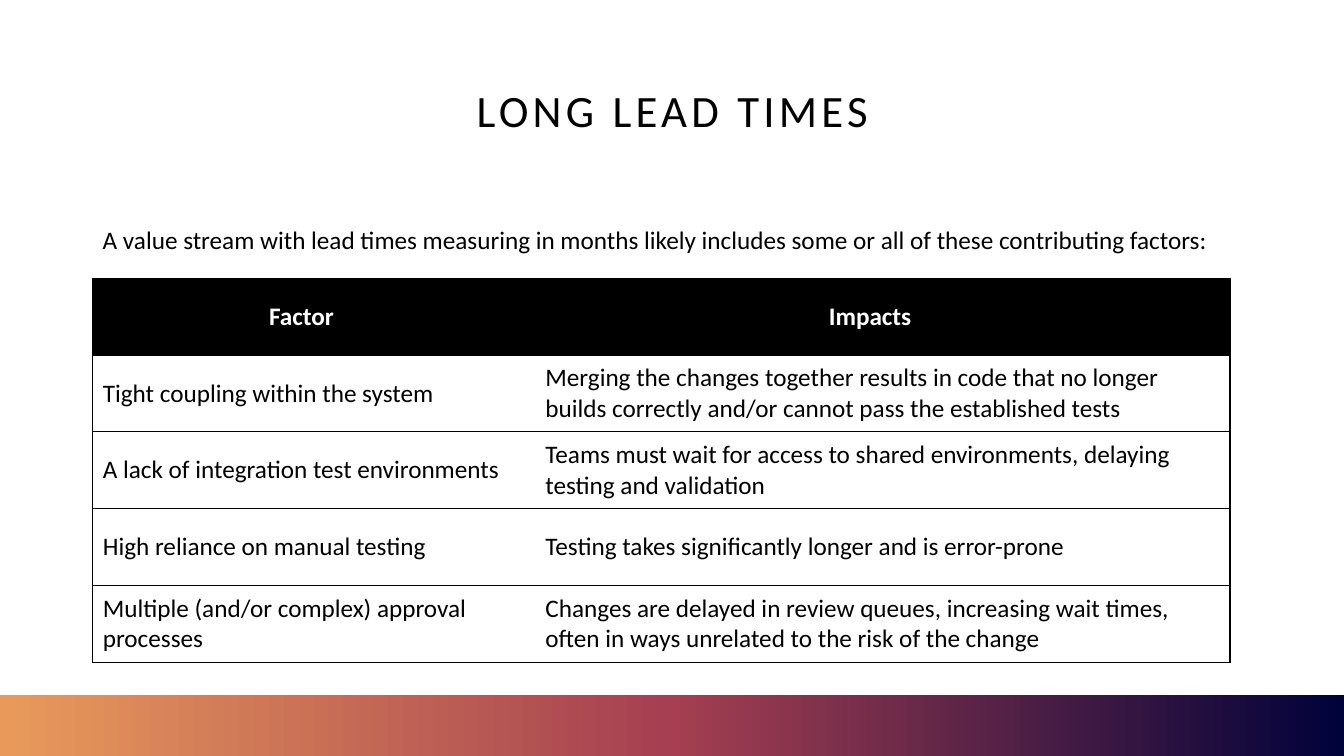
import copy

import pptx
import pptx.dml.color
import pptx.enum.shapes
import pptx.enum.text
import pptx.oxml
import pptx.oxml.ns
import pptx.util
from pptx.util import Inches

COLORS = {
    "black": "000000",
    "white": "FFFFFF",
    "orange": "E99A5B",
    "crimson": "A53F51",
    "navy": "00023A",
}
FONT = "Calibri"
HEADINGS = ("Factor", "Impacts")
FACTORS = [
    ("Tight coupling within the system",
     "Merging the changes together results in code that no longer builds "
     "correctly and/or cannot pass the established tests"),
    ("A lack of integration test environments",
     "Teams must wait for access to shared environments, delaying testing "
     "and validation"),
    ("High reliance on manual testing",
     "Testing takes significantly longer and is error-prone"),
    ("Multiple (and/or complex) approval processes",
     "Changes are delayed in review queues, increasing wait times, often in "
     "ways unrelated to the risk of the change"),
]
COLUMN_SHARES = (0.367, 0.633)
IMPACT_INDENT = 0.25


def rgb(name):
    return pptx.dml.color.RGBColor.from_string(COLORS[name])


def style_text(para, size, color="black", bold=False, centred=False):
    align = pptx.enum.text.PP_ALIGN
    para.alignment = align.CENTER if centred else align.LEFT
    for span in para.runs:
        span.font.name = FONT
        span.font.size = pptx.util.Pt(size)
        span.font.bold = bold
        span.font.color.rgb = rgb(color)


def add_text(page, box, text, size, centred=False):
    frame = page.shapes.add_textbox(*map(Inches, box)).text_frame
    frame.word_wrap = True
    if centred:
        frame.vertical_anchor = pptx.enum.text.MSO_ANCHOR.MIDDLE
    para = frame.paragraphs[0]
    para.text = text
    para.line_spacing = 0.9
    style_text(para, size, centred=centred)
    return para


def add_title(page, box):
    para = add_text(page, box, "LONG LEAD TIMES", 32, centred=True)
    para.runs[0].font._element.set("spc", "300")


def add_gradient_bar(page, box):
    bar = page.shapes.add_shape(
        pptx.enum.shapes.MSO_SHAPE.RECTANGLE, *map(Inches, box))
    bar.shadow.inherit = False
    bar.line.fill.background()
    bar.fill.gradient()
    bar.fill.gradient_angle = 0
    first, last = bar.fill.gradient_stops
    first._gs.addnext(copy.deepcopy(first._gs))
    names = ("orange", "crimson", "navy")
    for index, (stop, name) in enumerate(zip(bar.fill.gradient_stops, names)):
        stop.position = index / 2
        stop.color.rgb = rgb(name)


def set_borders(cell, visible):
    """Draw the sides listed in visible (L, R, T, B) and clear the others."""
    properties = cell._tc.get_or_add_tcPr()
    for side in "LRTB":
        if side in visible:
            paint = (f'<a:solidFill><a:srgbClr val="{COLORS["black"]}"/>'
                     '</a:solidFill>')
        else:
            paint = "<a:noFill/>"
        properties.append(pptx.oxml.parse_xml(
            f'<a:ln{side} {pptx.oxml.ns.nsdecls("a")} w="12700">'
            f'{paint}</a:ln{side}>'))


def add_factor_table(page, box):
    left, top, width, height = box
    rows = [HEADINGS] + FACTORS
    table = page.shapes.add_table(
        len(rows), len(HEADINGS), *map(Inches, box)).table
    for column, share in zip(table.columns, COLUMN_SHARES):
        column.width = Inches(width * share)
    for row_index, row in enumerate(rows):
        table.rows[row_index].height = Inches(height / len(rows))
        header = row_index == 0
        for column_index, text in enumerate(row):
            cell = table.cell(row_index, column_index)
            set_borders(cell, "LTB" if column_index == 0 else "RTB")
            cell.fill.solid()
            cell.fill.fore_color.rgb = rgb("black" if header else "white")
            cell.vertical_anchor = pptx.enum.text.MSO_ANCHOR.MIDDLE
            para = cell.text_frame.paragraphs[0]
            para.text = text
            style_text(para, 18, "white" if header else "black",
                       bold=header, centred=header)
            if column_index == 1 and not header:
                para._p.get_or_add_pPr().set(
                    "marL", str(Inches(IMPACT_INDENT)))


def build_slide(deck):
    page = deck.slides.add_slide(deck.slide_layouts[6])
    add_gradient_bar(page, (0, 6.89, 13.33, 0.61))
    add_title(page, (0.92, 0.4, 11.5, 1.45))
    add_text(page, (0.92, 2.21, 11.85, 0.48),
             "A value stream with lead times measuring in months likely "
             "includes some or all of these contributing factors:", 18)
    add_factor_table(page, (0.92, 2.76, 11.28, 3.81))


def main():
    deck = pptx.Presentation()
    deck.slide_width = Inches(13.33)
    deck.slide_height = Inches(7.5)
    build_slide(deck)
    deck.save("out.pptx")


if __name__ == "__main__":
    main()
